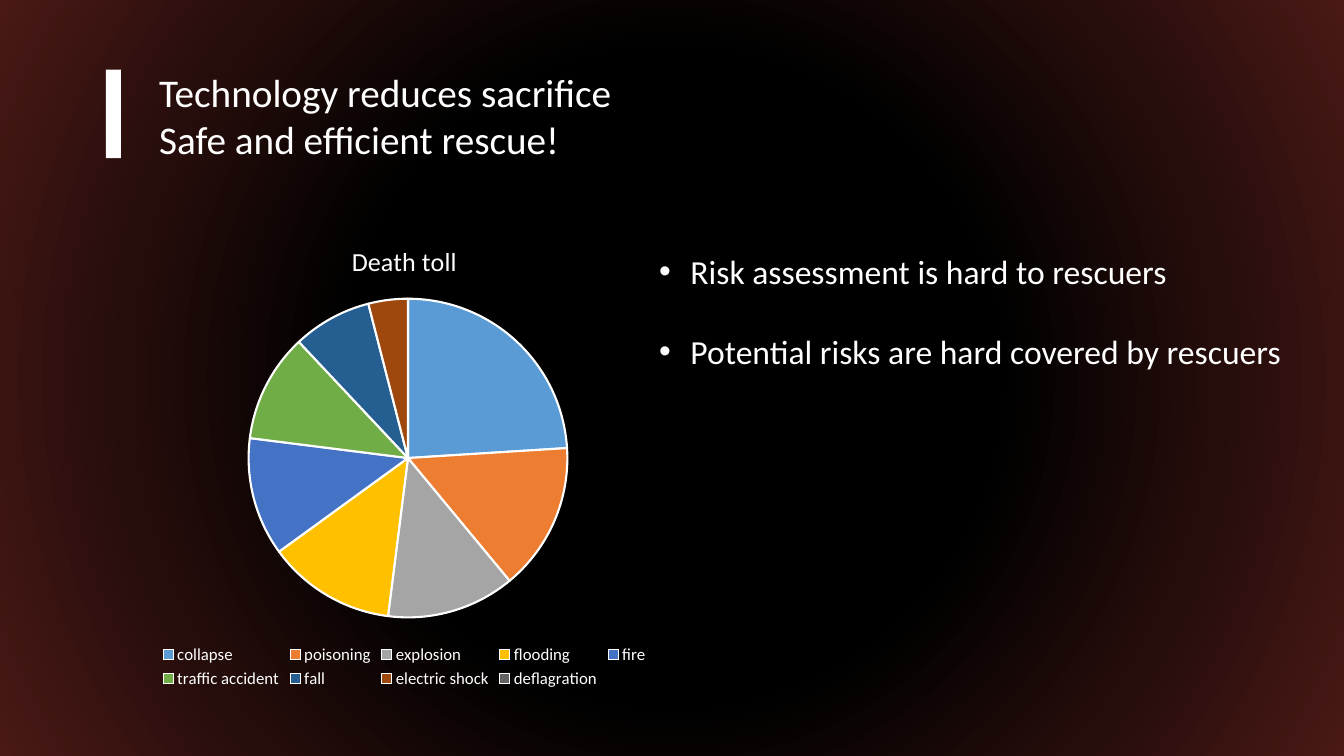
"""Build the rescue safety slide with a death toll pie chart."""
from pptx import Presentation
from pptx.chart.data import CategoryChartData
from pptx.dml.color import RGBColor
from pptx.enum import chart as ch, shapes, text
from pptx.oxml import parse_xml
from pptx.oxml.ns import nsdecls, qn
from pptx.util import Inches, Pt

FONT = "Calibri"
COLORS = {"white": "FFFFFF", "black": "000000", "maroon": "250D0B", "red": "4A1916"}
DEATHS = {
    "collapse": (24, "5B9BD5"),
    "poisoning": (15, "ED7D31"),
    "explosion": (13, "A5A5A5"),
    "flooding": (13, "FFC000"),
    "fire": (12, "4472C4"),
    "traffic accident": (11, "70AD47"),
    "fall": (8, "255E91"),
    "electric shock": (4, "9E480E"),
    "deflagration": (0, "636363"),
}


def rgb(name):
    return RGBColor.from_string(COLORS[name])


def set_font(font, size):
    font.name, font.size, font.bold = FONT, Pt(size), False
    font.color.rgb = rgb("white")


def set_background(s):
    stops = "".join(
        f'<a:gs pos="{pos * 1000}"><a:srgbClr val="{COLORS[name]}"/></a:gs>'
        for pos, name in ((42, "black"), (71, "maroon"), (100, "red")))
    s.background.fill.gradient()
    bg_pr = s._element.cSld.get_or_add_bgPr()
    grad = bg_pr.find(qn("a:gradFill"))
    bg_pr.replace(grad, parse_xml(
        f'<a:gradFill {nsdecls("a")} rotWithShape="1"><a:gsLst>{stops}</a:gsLst>'
        '<a:path path="circle"><a:fillToRect l="50000" t="50000" r="50000" b="50000"/>'
        '</a:path></a:gradFill>'))


def add_bar(s, *box):
    bar = s.shapes.add_shape(shapes.MSO_SHAPE.RECTANGLE, *map(Inches, box))
    bar.shadow.inherit = False
    bar.fill.solid()
    bar.fill.fore_color.rgb = rgb("white")
    bar.line.fill.background()


def add_bullet(p, indent=0.31):
    p_pr = p._p.get_or_add_pPr()
    p_pr.set("marL", str(Inches(indent)))
    p_pr.set("indent", str(-Inches(indent)))
    p_pr.append(parse_xml(f'<a:buFont {nsdecls("a")} typeface="Arial"/>'))
    p_pr.append(parse_xml(f'<a:buChar {nsdecls("a")} char="•"/>'))


def add_text(s, lines, *box, size=24, wrap=True, bullets=False, gap=0):
    tf = s.shapes.add_textbox(*map(Inches, box)).text_frame
    tf.word_wrap = wrap
    tf.auto_size = text.MSO_AUTO_SIZE.SHAPE_TO_FIT_TEXT
    for i, line in enumerate(lines):
        p = tf.add_paragraph() if i else tf.paragraphs[0]
        p.space_before = Pt(gap if i else 0)
        r = p.add_run()
        r.text = line
        set_font(r.font, size)
        if bullets:
            add_bullet(p)


def set_plot_layout(chart, **layout):
    area = chart._chartSpace.chart.plotArea
    for old in area.findall(qn("c:layout")):
        area.remove(old)
    places = "".join(f'<c:{key} val="{val}"/>' for key, val in layout.items())
    area.insert(0, parse_xml(
        f'<c:layout {nsdecls("c")}><c:manualLayout><c:layoutTarget val="inner"/>'
        f'<c:xMode val="edge"/><c:yMode val="edge"/>{places}</c:manualLayout></c:layout>'))


def add_pie(s, title, data, *box):
    chart_data = CategoryChartData()
    chart_data.categories = list(data)
    chart_data.add_series(title, [value for value, _ in data.values()])
    chart = s.shapes.add_chart(
        ch.XL_CHART_TYPE.PIE, *map(Inches, box), chart_data).chart
    set_font(chart.font, 10)
    chart.has_title = True
    p = chart.chart_title.text_frame.paragraphs[0]
    r = p.add_run()
    r.text = title
    set_font(r.font, 18.6)
    chart.has_legend = True
    chart.legend.position = ch.XL_LEGEND_POSITION.BOTTOM
    chart.legend.include_in_layout = False
    set_font(chart.legend.font, 12)
    plot = chart.plots[0]
    plot.vary_by_categories = True
    for i, (_, color) in enumerate(data.values()):
        fmt = plot.series[0].points[i].format
        fmt.fill.solid()
        fmt.fill.fore_color.rgb = RGBColor.from_string(color)
        fmt.line.color.rgb = rgb("white")
        fmt.line.width = Pt(1.5)
    set_plot_layout(chart, x=0.29, y=0.16, w=0.43, h=0.68)


def main():
    prs = Presentation()
    prs.slide_width, prs.slide_height = Inches(13.33), Inches(7.5)
    s = prs.slides.add_slide(prs.slide_layouts[6])
    set_background(s)
    add_bar(s, 1.05, 0.69, 0.15, 0.88)
    add_text(s, ["Technology reduces sacrifice", "Safe and efficient rescue!"],
             1.48, 0.63, 7.12, 1.04, size=28)
    add_pie(s, "Death toll", DEATHS, 0.32, 2.22, 7.38, 4.65)
    add_text(s, ["Risk assessment is hard to rescuers",
                 "Potential risks are hard covered by rescuers"],
             6.44, 2.44, 6.43, 1.31, wrap=False, bullets=True, gap=28)
    prs.save("out.pptx")


if __name__ == "__main__":
    main()
